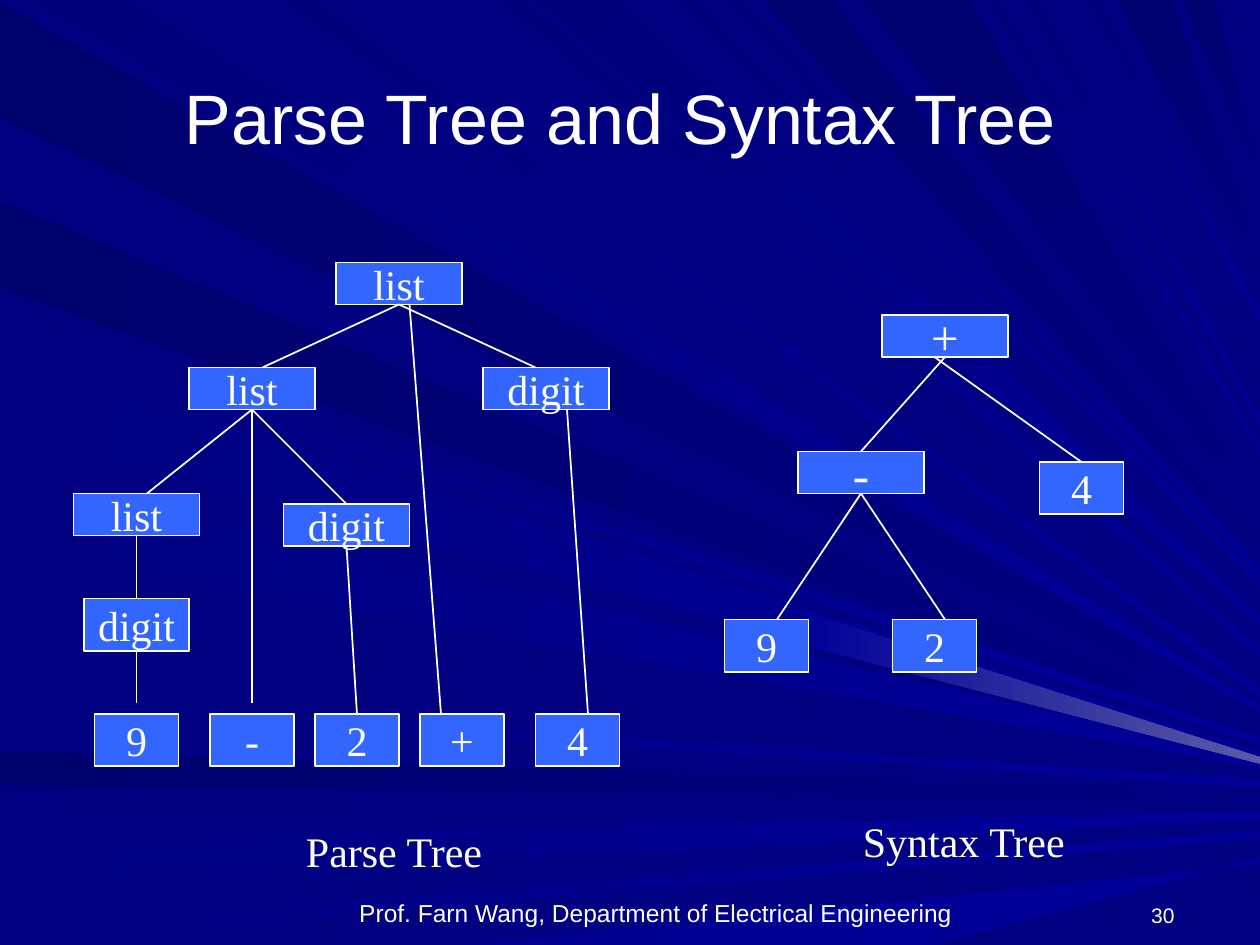
from typing import NamedTuple

from lxml import etree
from pptx import Presentation
from pptx.dml.color import RGBColor
from pptx.enum.shapes import MSO_CONNECTOR, MSO_SHAPE
from pptx.enum.text import MSO_ANCHOR, MSO_AUTO_SIZE, PP_ALIGN
from pptx.oxml.ns import qn
from pptx.util import Cm, Pt

LEFT, CENTER, RIGHT = PP_ALIGN.LEFT, PP_ALIGN.CENTER, PP_ALIGN.RIGHT
TOP, MIDDLE, BOTTOM = MSO_ANCHOR.TOP, MSO_ANCHOR.MIDDLE, MSO_ANCHOR.BOTTOM
RECTANGLE = MSO_SHAPE.RECTANGLE
STRAIGHT = MSO_CONNECTOR.STRAIGHT
FIT_SHAPE = MSO_AUTO_SIZE.SHAPE_TO_FIT_TEXT
TITLE_ONLY = 5
SANS, SERIF = "Arial", "Times New Roman"
WHITE, NODE_BLUE, NAVY, RAY_BLUE = "FFFFFF", "3366FF", "000080", "000099"
WIDTH, HEIGHT = 10, 7.5
STEPS_PER_INCH = 12
TIP_HALF = 0.03


class Rays(NamedTuple):
    edge: str
    start: str
    end: str
    angle: int
    spans: list


class Node(NamedTuple):
    text: str
    left: int
    top: int
    width: int = 12
    height: int = 4
    size: int = 24


class Edge(NamedTuple):
    parent: str
    child: str
    start_shift: int = 0
    end_shift: int = 0
    gap: int = 0


RAYS = [
    Rays("left", "00006D", NAVY, 0, [(0.02, 0.93, 5.7), (1.59, 2.28, 5.85), (5.96, 6.23, 6.32)]),
    Rays("left", "000080", RAY_BLUE, 0, [
        (6.65, 7.04, 6.47), (7.35, 7.5, 6.62), (2.58, 2.7, 5.88),
        (2.78, 3.45, 6), (3.74, 4.37, 6.06), (5.52, 5.6, 6.22)]),
    Rays("bottom", "000090", RAY_BLUE, 0, [(3.64, 7.42, 6.83)]),
    Rays("top", "000078", RAY_BLUE, 45, [
        (0.26, 1.01, 5.63), (2.25, 2.47, 5.5), (3.98, 4.16, 5.18), (4.26, 4.92, 4.93),
        (5.4, 5.52, 4.63), (5.77, 5.88, 4.54), (7.85, 7.92, 3.57), (8.15, 8.24, 3.36),
        (8.65, 8.72, 2.54)]),
    Rays("top", "00006F", NAVY, 90, [
        (6.06, 6.61, 4.46), (6.86, 7.7, 4.1), (8.87, 9.3, 2.1), (9.39, 9.64, 1.4)]),
]
GLOW = [(6.37, 4.85), (6.33, 5.11), (10, 6.06), (10, 6.01)]

NODES = {
    "sum": Node("list", 32, 25),
    "difference": Node("list", 18, 35),
    "digit 4": Node("digit", 46, 35),
    "first": Node("list", 7, 47),
    "digit 2": Node("digit", 27, 48),
    "digit 9": Node("digit", 8, 57, 10, 5),
    "leaf 9": Node("9", 9, 68, 8, 5),
    "leaf -": Node("-", 20, 68, 8, 5),
    "leaf 2": Node("2", 30, 68, 8, 5),
    "leaf +": Node("+", 40, 68, 8, 5),
    "leaf 4": Node("4", 51, 68, 8, 5),
    "plus": Node("+", 84, 30, size=28),
    "minus": Node("-", 76, 43, size=28),
    "nine": Node("9", 69, 59, 8, 5),
    "two": Node("2", 85, 59, 8, 5),
    "four": Node("4", 99, 44, 8, 5),
}

EDGES = [
    Edge("sum", "difference", end_shift=1),
    Edge("sum", "digit 4", end_shift=-1),
    Edge("sum", "leaf +", 1, -2),
    Edge("difference", "first", end_shift=1),
    Edge("difference", "leaf -", gap=1),
    Edge("difference", "digit 2"),
    Edge("digit 2", "leaf 2"),
    Edge("first", "digit 9"),
    Edge("digit 9", "leaf 9", gap=1),
    Edge("digit 4", "leaf 4", 2, 1),
    Edge("plus", "minus"),
    Edge("plus", "four", -1),
    Edge("minus", "nine", end_shift=1),
    Edge("minus", "two", end_shift=1),
]


def lengths(*inches: float) -> list:
    return [Cm(value * 2.54) for value in inches]


def grid(*steps: float) -> list:
    return lengths(*(step / STEPS_PER_INCH for step in steps))


def paint(color_format, value: str) -> None:
    color_format.rgb = RGBColor.from_string(value)


def fill_solid(fill, value: str) -> None:
    fill.solid()
    paint(fill.fore_color, value)


def write_text(shape, text: str, *, size: int, font: str = SERIF, align=LEFT,
               anchor=TOP, wrap: bool = False) -> None:
    frame = shape.text_frame
    frame.word_wrap = wrap
    frame.vertical_anchor = anchor
    paragraph = frame.paragraphs[0]
    paragraph.alignment = align
    run = paragraph.add_run()
    run.text = text
    run.font.size = Pt(size)
    run.font.name = font
    paint(run.font.color, WHITE)


def draw_polygon(slide, points: list, start: str, end: str, angle: int) -> None:
    first, *others = [lengths(*point) for point in points]
    builder = slide.shapes.build_freeform(*first)
    builder.add_line_segments(others)
    shape = builder.convert_to_shape()
    shape.shadow.inherit = False
    shape.line.fill.background()
    shape.fill.gradient()
    shape.fill.gradient_angle = -angle % 360
    for stop, value in zip(shape.fill.gradient_stops, (start, end)):
        paint(stop.color, value)


def draw_rays(slide, rays: Rays) -> None:
    for near, far, tip in rays.spans:
        if rays.edge == "left":
            base = [(0, far), (0, near)]
        else:
            y = HEIGHT if rays.edge == "bottom" else 0
            base = [(near, y), (far, y)]
        points = [*base, (WIDTH, tip - TIP_HALF), (WIDTH, tip + TIP_HALF)]
        draw_polygon(slide, points, rays.start, rays.end, rays.angle)


def draw_node(slide, node: Node) -> None:
    box = grid(node.left, node.top, node.width, node.height)
    shape = slide.shapes.add_shape(RECTANGLE, *box)
    shape.shadow.inherit = False
    fill_solid(shape.fill, NODE_BLUE)
    paint(shape.line.color, WHITE)
    shape.line.width = Pt(1)
    write_text(shape, node.text, size=node.size, align=CENTER, anchor=MIDDLE)


def draw_edge(slide, edge: Edge) -> None:
    parent, child = NODES[edge.parent], NODES[edge.child]
    ends = grid(parent.left + parent.width / 2 + edge.start_shift, parent.top + parent.height,
                child.left + child.width / 2 + edge.end_shift, child.top - edge.gap)
    connector = slide.shapes.add_connector(STRAIGHT, *ends)
    paint(connector.line.color, WHITE)
    connector.line.width = Pt(1)
    etree.SubElement(connector._element.spPr, qn("a:effectLst"))


def add_label(slide, text: str, box: tuple, **text_format):
    shape = slide.shapes.add_textbox(*lengths(*box))
    write_text(shape, text, **text_format)
    return shape


def main() -> None:
    presentation = Presentation()
    presentation.slide_width, presentation.slide_height = lengths(WIDTH, HEIGHT)
    slide = presentation.slides.add_slide(presentation.slide_layouts[TITLE_ONLY])
    fill_solid(slide.background.fill, NAVY)
    for rays in RAYS:
        draw_rays(slide, rays)
    draw_polygon(slide, GLOW, RAY_BLUE, "5A5AA6", 0)
    title = slide.shapes.title
    title.left, title.top, title.width, title.height = lengths(0.5, 0.3, 9, 1.25)
    write_text(title, "Parse Tree and Syntax Tree ", size=40, font=SANS,
               align=CENTER, anchor=MIDDLE, wrap=True)
    slide.shapes._spTree.append(title._element)
    add_label(slide, "Prof. Farn Wang, Department of Electrical Engineering",
              (1.83, 7.08, 6.75, 0.33), size=14, font=SANS, align=CENTER, anchor=BOTTOM, wrap=True)
    add_label(slide, "30", (8.75, 7.08, 0.67, 0.33), size=12, font=SANS,
              align=RIGHT, anchor=BOTTOM, wrap=True)
    for node in NODES.values():
        draw_node(slide, node)
    for edge in EDGES:
        draw_edge(slide, edge)
    for text, box in (("Parse Tree", (2.33, 6.5, 1.62, 0.5)),
                      ("Syntax Tree", (6.75, 6.42, 1.82, 0.5))):
        add_label(slide, text, box, size=24).text_frame.auto_size = FIT_SHAPE
    presentation.save("out.pptx")


if __name__ == "__main__":
    main()
